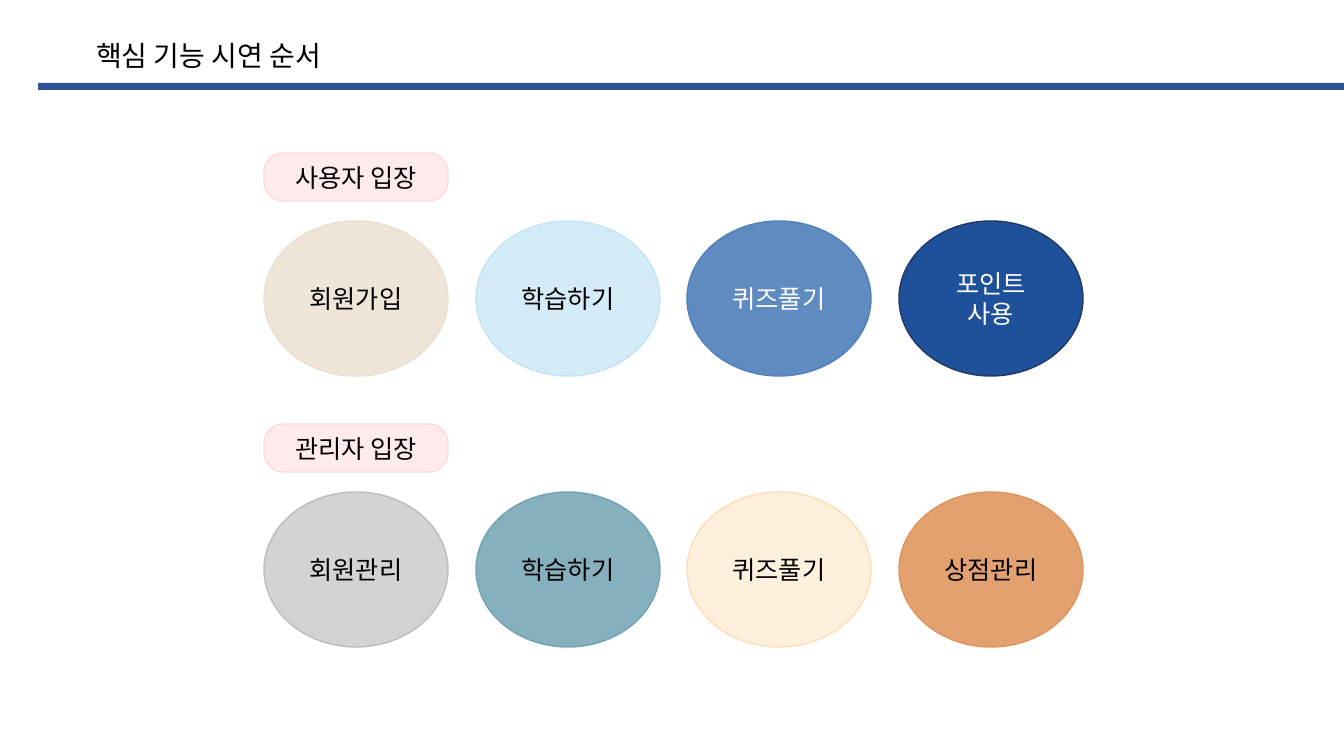
from lxml import etree
from pptx import Presentation
from pptx.dml.color import RGBColor
from pptx.enum.shapes import MSO_SHAPE
from pptx.enum.text import MSO_ANCHOR, PP_ALIGN
from pptx.oxml.ns import qn
from pptx.util import Emu, Pt

RECTANGLE = MSO_SHAPE.RECTANGLE
ROUNDED = MSO_SHAPE.ROUNDED_RECTANGLE
ELLIPSE = MSO_SHAPE.OVAL
MIDDLE = MSO_ANCHOR.MIDDLE
TOP = MSO_ANCHOR.TOP
CENTER = PP_ALIGN.CENTER
LEFT = PP_ALIGN.LEFT

EMU_PER_PX = 914400 / 100.8
SLIDE_SIZE = (1344, 756)
FONT = "Noto Sans CJK KR"
TITLE_ONLY = 5

COLORS = {
    "black": "000000",
    "white": "FFFFFF",
    "bar": "2F5597",
    "label": "FFEBEB", "label_line": "FFD9D9",
    "beige": "EFE6D9", "beige_line": "EADFCE",
    "sky": "D4EBF8", "sky_line": "C3E3F5",
    "blue": "608BC1", "blue_line": "5181BB",
    "navy": "1F509A", "navy_line": "203864",
    "gray": "D1D3D4", "gray_line": "BABDBE",
    "teal": "86B0BD", "teal_line": "72A3B2",
    "cream": "FFF0DD", "cream_line": "FFDDB3",
    "orange": "E2A16F", "orange_line": "DE945C",
}

# Each flow: label, then steps of (text, fill, text color).
FLOWS = [
    ("사용자 입장", [
        ("회원가입", "beige", "black"),
        ("학습하기", "sky", "black"),
        ("퀴즈풀기", "blue", "white"),
        ("포인트 사용", "navy", "white"),
    ]),
    ("관리자 입장", [
        ("회원관리", "gray", "black"),
        ("학습하기", "teal", "black"),
        ("퀴즈풀기", "cream", "black"),
        ("상점관리", "orange", "black"),
    ]),
]
FIRST_LEFT, LAST_LEFT = 264, 899
FLOW_TOP, FLOW_PITCH = 153, 271
ITEM_WIDTH, LABEL_HEIGHT, STEP_HEIGHT = 184, 48, 155
STEP_OFFSET = 68


def px(value):
    return Emu(round(value * EMU_PER_PX))


def rgb(name):
    return RGBColor.from_string(COLORS[name])


def write(shape, text, size, color, alignment):
    shape.text_frame.text = text
    paragraph = shape.text_frame.paragraphs[0]
    paragraph.alignment = alignment
    font = paragraph.font
    font.size = Pt(size)
    font.color.rgb = rgb(color)
    font.name = FONT
    properties = paragraph._p.pPr.find(qn("a:defRPr"))
    etree.SubElement(properties, qn("a:ea"), typeface=FONT)


def add_filled(slide, kind, box, fill, line=None):
    shape = slide.shapes.add_shape(kind, *map(px, box))
    shape.shadow.inherit = False
    shape.fill.solid()
    shape.fill.fore_color.rgb = rgb(fill)
    if line:
        shape.line.color.rgb = rgb(line)
        shape.line.width = Pt(1)
    else:
        shape.line.fill.background()
    return shape


def add_item(slide, kind, box, text, fill, color):
    """Add a filled, outlined shape with centered text."""
    shape = add_filled(slide, kind, box, fill, f"{fill}_line")
    shape.text_frame.word_wrap = True
    shape.text_frame.vertical_anchor = MIDDLE
    write(shape, text, 18, color, CENTER)
    return shape


def add_flow(slide, top, label, steps):
    """Add a label with its row of evenly spaced steps below."""
    label_box = (FIRST_LEFT, top, ITEM_WIDTH, LABEL_HEIGHT)
    pill = add_item(slide, ROUNDED, label_box, label, "label", "black")
    pill.adjustments[0] = 0.4
    pitch = (LAST_LEFT - FIRST_LEFT) / (len(steps) - 1)
    for index, (text, fill, color) in enumerate(steps):
        left = round(FIRST_LEFT + index * pitch)
        step_box = (left, top + STEP_OFFSET, ITEM_WIDTH, STEP_HEIGHT)
        add_item(slide, ELLIPSE, step_box, text, fill, color)


def set_title(slide, text):
    title = slide.shapes.title
    title.left, title.top, title.width, title.height = map(px, (86, 33, 276, 44))
    title.text_frame.word_wrap = False
    title.text_frame.vertical_anchor = TOP
    write(title, text, 20, "black", LEFT)


def main():
    presentation = Presentation()
    presentation.slide_width, presentation.slide_height = map(px, SLIDE_SIZE)
    slide = presentation.slides.add_slide(presentation.slide_layouts[TITLE_ONLY])
    add_filled(slide, RECTANGLE, (38, 83, 1306, 7), "bar")
    set_title(slide, "핵심 기능 시연 순서")
    for index, (label, steps) in enumerate(FLOWS):
        add_flow(slide, FLOW_TOP + index * FLOW_PITCH, label, steps)
    presentation.save("out.pptx")


if __name__ == "__main__":
    main()
